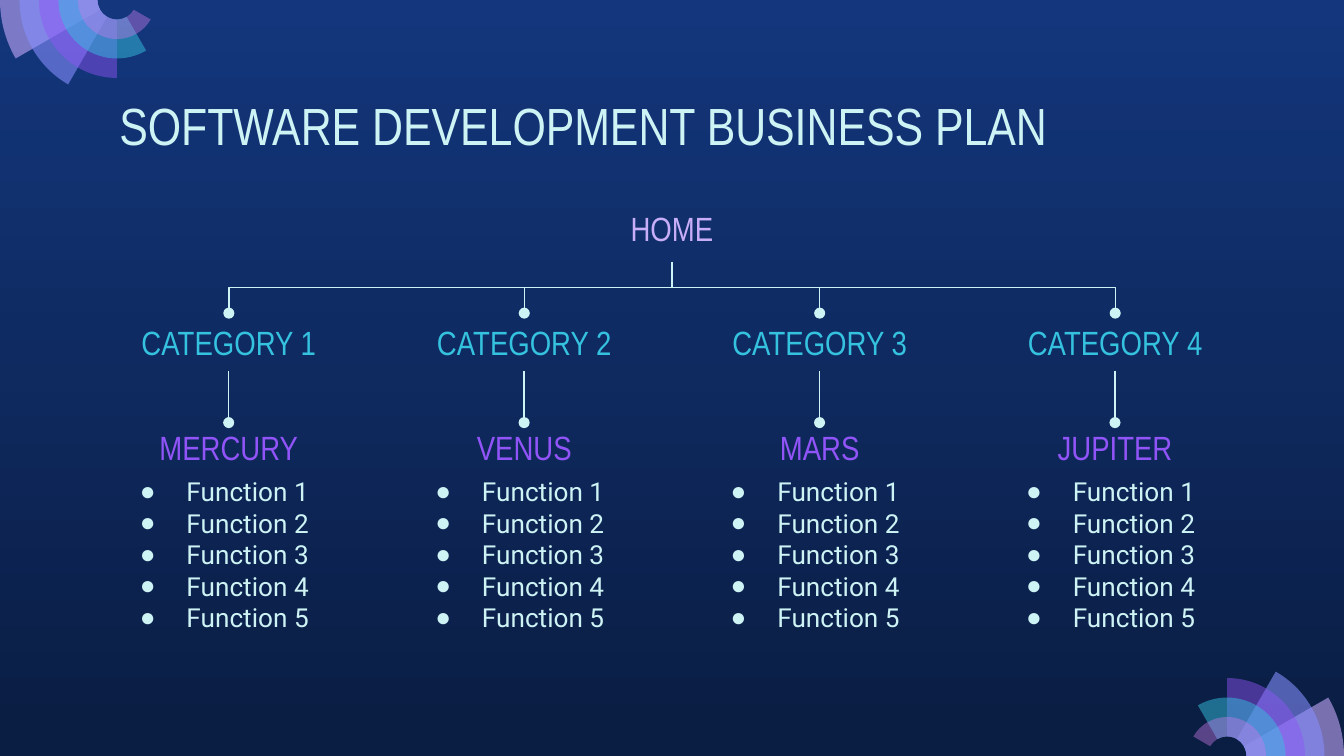
from math import cos, radians, sin, tan

from lxml import etree
from pptx import Presentation
from pptx.dml.color import RGBColor
from pptx.enum.shapes import MSO_CONNECTOR
from pptx.enum.text import MSO_ANCHOR, MSO_AUTO_SIZE, PP_ALIGN
from pptx.oxml.ns import qn
from pptx.util import Pt

ELBOW = MSO_CONNECTOR.ELBOW
TOP, MIDDLE, BOTTOM = MSO_ANCHOR.TOP, MSO_ANCHOR.MIDDLE, MSO_ANCHOR.BOTTOM
LEFT, CENTER = PP_ALIGN.LEFT, PP_ALIGN.CENTER
NO_AUTOFIT = MSO_AUTO_SIZE.NONE

# Content
TITLE = "SOFTWARE DEVELOPMENT BUSINESS PLAN"
HOME = "HOME"
COLUMNS = [
    ("CATEGORY 1", "MERCURY"),
    ("CATEGORY 2", "VENUS"),
    ("CATEGORY 3", "MARS"),
    ("CATEGORY 4", "JUPITER"),
]
FUNCTIONS = [f"Function {number}" for number in range(1, 6)]

# Style
COLORS = {
    "top": "13367C", "bottom": "0A1D42", "text": "CEF3F5",
    "home": "C8AEF8", "category": "35C2DF", "planet": "9154F8",
}
HEADING_FONT, BODY_FONT, BULLET_FONT = "Arial Narrow", "Roboto", "Arial"
# Fan blades from the outermost: color, opacity in percent
BLADES = [("C8ACFD", 58), ("878FFF", 58), ("9154F8", 46),
          ("35C2DF", 49), ("CA7BEB", 42)]

# Layout in points
SLIDE_WIDTH, SLIDE_HEIGHT = 720, 405
MARGIN = 56.7
INSET = 7.2
COLUMN_WIDTH = 131.8
COLUMN_PITCH = (SLIDE_WIDTH - 2 * MARGIN - COLUMN_WIDTH) / (len(COLUMNS) - 1)
LABEL_HEIGHT = 30.9
HOME_TOP, CATEGORY_TOP, PLANET_TOP = 109.4, 167.8, 226.4
HOME_WIDTH = 78.4
LIST_TOP, LIST_HEIGHT = 247.7, 92
RING = 10.44


def rgb(value):
    return RGBColor.from_string(value)


def format_text(shape, lines, box, font, size, color, align=LEFT, anchor=TOP):
    shape.left, shape.top, shape.width, shape.height = map(Pt, box)
    frame = shape.text_frame
    frame.word_wrap = True
    frame.auto_size = NO_AUTOFIT
    frame.vertical_anchor = anchor
    frame.margin_left = frame.margin_right = Pt(INSET)
    frame.margin_top = frame.margin_bottom = Pt(INSET)
    frame.text = "\n".join(lines)
    for paragraph in frame.paragraphs:
        paragraph.alignment = align
        paragraph.space_before = Pt(0)
        paragraph.font.name = font
        paragraph.font.size = Pt(size)
        paragraph.font.bold = False
        paragraph.font.color.rgb = rgb(color)


def add_label(slide, text, box, color, anchor):
    format_text(slide.shapes.add_textbox(0, 0, 0, 0), [text], box,
                HEADING_FONT, 18, color, CENTER, anchor)


def add_bullets(shape):
    for paragraph in shape.text_frame.paragraphs:
        properties = paragraph._p.get_or_add_pPr()
        properties.set("marL", str(Pt(36)))
        properties.set("indent", str(Pt(-25)))
        bullet_color = etree.Element(qn("a:buClr"))
        etree.SubElement(bullet_color, qn("a:srgbClr"), val=COLORS["text"])
        bullet_font = etree.Element(qn("a:buFont"), typeface=BULLET_FONT)
        bullet = etree.Element(qn("a:buChar"), char="●")
        default_font = properties.find(qn("a:defRPr"))
        for element in (bullet_color, bullet_font, bullet):
            default_font.addprevious(element)


def add_branch(slide, start, end):
    """Elbow that leaves downwards, turns halfway and ends in a dot."""
    (x1, y1), (x2, y2) = start, end
    span, drop = abs(x2 - x1), y2 - y1
    connector = slide.shapes.add_connector(ELBOW, 0, 0, 0, 0)
    # The box is given as it lies before the quarter turn
    connector.left = Pt((x1 + x2 - drop) / 2)
    connector.top = Pt((y1 + y2 - span) / 2)
    connector.width, connector.height = Pt(drop), Pt(span)
    properties = connector._element.spPr
    transform = properties.find(qn("a:xfrm"))
    if x2 < x1:
        transform.set("rot", str(90 * 60000))
    else:
        transform.set("rot", str(270 * 60000))
        transform.set("flipH", "1")
    connector.line.color.rgb = rgb(COLORS["text"])
    connector.line.width = Pt(0.75)
    etree.SubElement(connector.line._get_or_add_ln(), qn("a:tailEnd"), type="oval")
    etree.SubElement(properties, qn("a:effectLst"))


def add_fan(slide, center_x, center_y, direction):
    """Blades that get shorter by one ring and wider by 30 degrees."""
    def spot(radius, angle, pull=0):
        """Point on a circle, moved along its tangent by pull radii."""
        x = cos(radians(angle)) - pull * sin(radians(angle))
        y = sin(radians(angle)) + pull * cos(radians(angle))
        return (Pt(center_x + direction * radius * x),
                Pt(center_y - direction * radius * y))

    def curve(radius, start, end):
        pull = 4 / 3 * tan(radians(end - start) / 4)
        return [spot(radius, start, pull), spot(radius, end, -pull), spot(radius, end)]

    for index, (color, opacity) in enumerate(BLADES):
        sweep, outer = 30 * (index + 1), (6 - index) * RING
        angles = [0, 90, sweep] if sweep > 90 else [0, sweep]
        steps = list(zip(angles, angles[1:]))
        segments = [curve(outer, end, start) for start, end in reversed(steps)]
        segments.append([spot(RING, 0)])
        segments += [curve(RING, start, end) for start, end in steps]

        builder = slide.shapes.build_freeform(*spot(outer, sweep))
        builder.add_line_segments([segment[-1] for segment in segments], close=True)
        blade = builder.convert_to_shape()
        properties = blade._element.spPr
        # Bend the sides that follow a circle
        for side, segment in zip(list(properties.iter(qn("a:lnTo"))), segments):
            if len(segment) == 3:
                bend = etree.Element(qn("a:cubicBezTo"))
                for x, y in segment:
                    etree.SubElement(bend, qn("a:pt"), x=str(x - blade.left),
                                     y=str(y - blade.top))
                side.getparent().replace(side, bend)
        blade.shadow.inherit = False
        blade.fill.solid()
        blade.fill.fore_color.rgb = rgb(color)
        blade.line.fill.background()
        fill_color = properties.find(qn("a:solidFill"))[0]
        etree.SubElement(fill_color, qn("a:alpha"), val=str(opacity * 1000))


presentation = Presentation()
presentation.slide_width, presentation.slide_height = Pt(SLIDE_WIDTH), Pt(SLIDE_HEIGHT)
# The comparison layout has a title and four body placeholders
slide = presentation.slides.add_slide(presentation.slide_layouts[4])

# Background and corner fans
background = slide.background.fill
background.gradient()
background.gradient_angle = 270
for stop, position, name in zip(background.gradient_stops, (0, 1), ("top", "bottom")):
    stop.position = position
    stop.color.rgb = rgb(COLORS[name])
add_fan(slide, SLIDE_WIDTH - 6 * RING, SLIDE_HEIGHT, 1)
add_fan(slide, 6 * RING, 0, -1)

# Title and root of the tree
format_text(slide.shapes.title, [TITLE], (MARGIN, 42.5, SLIDE_WIDTH - 2 * MARGIN, 45),
            HEADING_FONT, 28, COLORS["text"])
middle = SLIDE_WIDTH / 2
add_label(slide, HOME, (middle - HOME_WIDTH / 2, HOME_TOP, HOME_WIDTH, LABEL_HEIGHT),
          COLORS["home"], BOTTOM)

# One column per category
list_shapes = [shape for shape in slide.placeholders if shape.placeholder_format.idx > 0]
for index, ((category, planet), list_shape) in enumerate(zip(COLUMNS, list_shapes)):
    left = MARGIN + index * COLUMN_PITCH
    center = left + COLUMN_WIDTH / 2
    add_label(slide, category, (left, CATEGORY_TOP, COLUMN_WIDTH, LABEL_HEIGHT),
              COLORS["category"], MIDDLE)
    add_label(slide, planet, (left, PLANET_TOP, COLUMN_WIDTH, LABEL_HEIGHT),
              COLORS["planet"], BOTTOM)
    format_text(list_shape, FUNCTIONS, (left, LIST_TOP, COLUMN_WIDTH, LIST_HEIGHT),
                BODY_FONT, 14, COLORS["text"])
    add_bullets(list_shape)
    add_branch(slide, (middle, HOME_TOP + LABEL_HEIGHT), (center, CATEGORY_TOP))
    add_branch(slide, (center, CATEGORY_TOP + LABEL_HEIGHT), (center, PLANET_TOP))

presentation.save("out.pptx")
